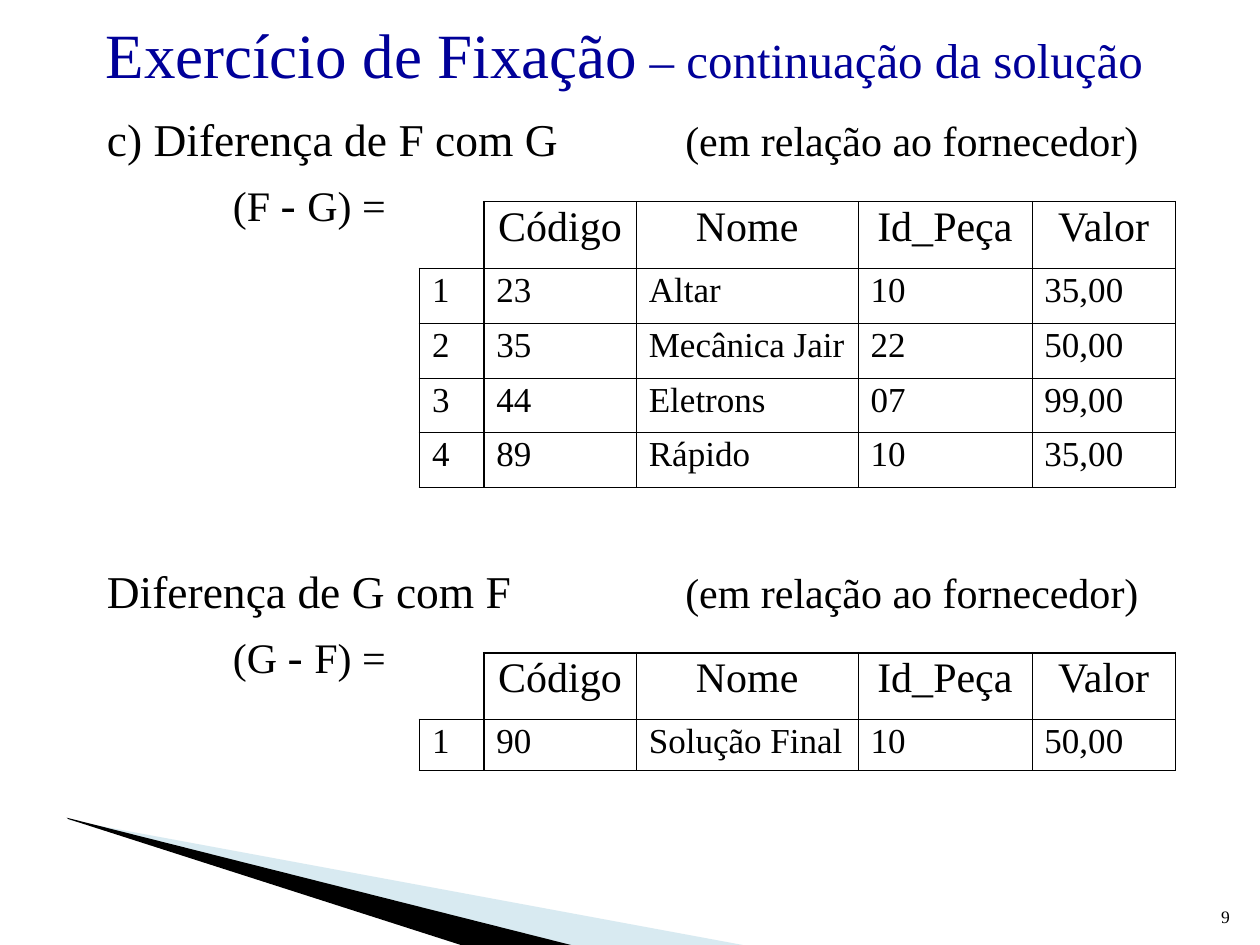
from lxml import etree
from pptx import Presentation
from pptx import util as u
from pptx.dml.color import RGBColor
from pptx.enum import text
from pptx.oxml.ns import qn

THEME = {
    "font": "Times New Roman",
    "title": "000099", "ink": "000000", "wedge": "9FCBDC",
    "title_size": 36, "subtitle_size": 28, "lead_size": 26,
    "body_size": 24, "cell_size": 20, "number_size": 10,
    "thick": 1.08, "thin": 0.45,
}
LEFT, CENTER, RIGHT, JUSTIFY = (text.PP_ALIGN.LEFT, text.PP_ALIGN.CENTER,
                                text.PP_ALIGN.RIGHT, text.PP_ALIGN.JUSTIFY)

deck = Presentation()
deck.slide_width, deck.slide_height = u.Inches(10), u.Inches(7.5)
page = deck.slides.add_slide(deck.slide_layouts[6])
COLUMN, ROW = deck.slide_width / 100, deck.slide_height / 75


def write(para, align, color, *spans):
    """Fill a paragraph with (wording, size key) spans."""
    para.alignment = align
    for wording, size in spans:
        span = para.add_run()
        span.text = wording
        span.font.name = THEME["font"]
        span.font.size = u.Pt(THEME[size])
        span.font.color.rgb = RGBColor.from_string(THEME[color])


def add_box(left, top, width, height, anchor=text.MSO_ANCHOR.TOP):
    """Add a wrapping text box, placed in grid columns and rows."""
    box = page.shapes.add_textbox(int(left * COLUMN), int(top * ROW),
                                  int(width * COLUMN), int(height * ROW))
    box.text_frame.word_wrap = True
    box.text_frame.vertical_anchor = anchor
    return box.text_frame


# Corner wedges: points in grid columns and rows, opacity in percent
wedges = [
    ("wedge", 40, [(5.5, 65.1), (59.5, 75.1), (45.6, 75.1), (5.5, 65)]),
    ("ink", 100, [(5.3, 64.9), (45.7, 75.1), (37.2, 75.2), (5.4, 65)]),
]
for color, opacity, points in wedges:
    corners = [(int(x * COLUMN), int(y * ROW)) for x, y in points]
    builder = page.shapes.build_freeform(*corners[0])
    builder.add_line_segments(corners[1:])
    wedge = builder.convert_to_shape()
    wedge.shadow.inherit = False
    wedge.line.fill.background()
    wedge.fill.solid()
    wedge.fill.fore_color.rgb = RGBColor.from_string(THEME[color])
    if opacity < 100:
        tint = wedge._element.spPr.find(qn("a:solidFill"))[0]
        etree.SubElement(tint, qn("a:alpha"), val=str(opacity * 1000))

number = add_box(94.6, 70.1, 4, 4, text.MSO_ANCHOR.BOTTOM)
write(number.paragraphs[0], RIGHT, "ink", ("9", "number_size"))

title = add_box(5.8, 1.7, 87.5, 5, text.MSO_ANCHOR.MIDDLE)
write(title.paragraphs[0], CENTER, "title",
      ("Exercício de Fixação", "title_size"),
      (" – continuação da solução", "subtitle_size"))

# Each difference: heading, operands, heading top, table top, row heights, rows
differences = [
    ("c) Diferença de F com G", "F", "G", 8.3, 16, (5.3, 4.35), [
        ("1", "23", "Altar", "10", "35,00"),
        ("2", "35", "Mecânica Jair", "22", "50,00"),
        ("3", "44", "Eletrons", "07", "99,00"),
        ("4", "89", "Rápido", "10", "35,00")]),
    ("Diferença de G com F", "G", "F", 44.2, 51.8, (5.3, 4.05), [
        ("1", "90", "Solução Final", "10", "50,00")]),
]
HEADER = ("", "Código", "Nome", "Id_Peça", "Valor")
WIDTHS = (5.1, 12.1, 17.6, 13.8, 11.4)
TABS = (10, 45.9)

for heading, first, second, top, table_top, heights, records in differences:
    frame = add_box(7.5, top, 84.2, 10.8)
    lead, formula = frame.paragraphs[0], frame.add_paragraph()
    formula.space_before = u.Pt(6)
    for para, stop in ((formula, TABS[0]), (lead, TABS[1])):
        tabs = etree.SubElement(para._p.get_or_add_pPr(), qn("a:tabLst"))
        etree.SubElement(tabs, qn("a:tab"), pos=str(int(stop * COLUMN)), algn="l")
    write(lead, JUSTIFY, "ink", (heading, "lead_size"),
          ("\t(em relação ao fornecedor)", "body_size"))
    write(formula, JUSTIFY, "ink", ("\t", "lead_size"), (f"({first} ", "body_size"),
          ("- ", "lead_size"), (f"{second}) =", "body_size"))

    rows = [HEADER, *records]
    row_heights = [heights[0]] + [heights[1]] * len(records)
    holder = page.shapes.add_table(
        len(rows), len(HEADER), int(33.3 * COLUMN), int(table_top * ROW),
        int(sum(WIDTHS) * COLUMN), int(sum(row_heights) * ROW))
    table = holder.table
    table.first_row = table.horz_banding = False
    for column, width in zip(table.columns, WIDTHS):
        column.width = int(width * COLUMN)
    for row, height in zip(table.rows, row_heights):
        row.height = int(height * ROW)

    for i, record in enumerate(rows):
        for j, wording in enumerate(record):
            cell = table.cell(i, j)
            borders = cell._tc.get_or_add_tcPr()
            # The outline, the header and the row numbers have thick edges
            for side, heavy in (("L", j in (0, 1)), ("R", j in (0, len(HEADER) - 1)),
                                ("T", i in (0, 1)), ("B", i in (0, len(rows) - 1))):
                weight = u.Pt(THEME["thick" if heavy else "thin"])
                edge = etree.SubElement(borders, qn(f"a:ln{side}"), w=str(weight))
                if i == j == 0 and side in "LT":
                    etree.SubElement(edge, qn("a:noFill"))
                else:
                    paint = etree.SubElement(edge, qn("a:solidFill"))
                    etree.SubElement(paint, qn("a:srgbClr"), val=THEME["ink"])
            cell.fill.background()
            para = cell.text_frame.paragraphs[0]
            para.line_spacing = 0.9
            if wording:
                write(para, JUSTIFY if i else CENTER, "ink",
                      (wording, "cell_size" if i else "body_size"))

deck.save("out.pptx")
